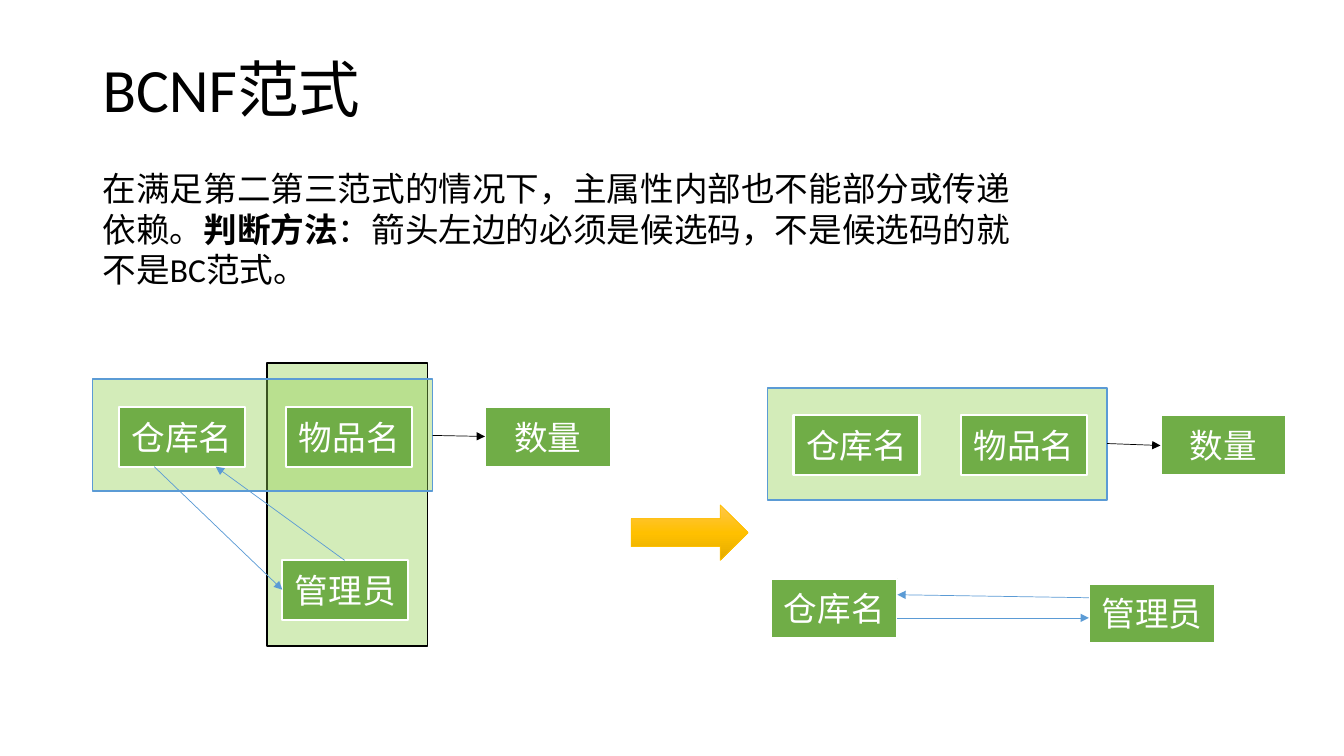
from copy import deepcopy

from lxml import etree
from pptx import Presentation
from pptx.dml.color import RGBColor
from pptx.enum.shapes import MSO_CONNECTOR, MSO_SHAPE
from pptx.enum.text import MSO_ANCHOR, PP_ALIGN
from pptx.oxml.ns import qn
from pptx.util import Inches, Pt

RECT = MSO_SHAPE.RECTANGLE
ARROW = MSO_SHAPE.RIGHT_ARROW
LINE = MSO_CONNECTOR.STRAIGHT
MID, TOP = MSO_ANCHOR.MIDDLE, MSO_ANCHOR.TOP
LEFT, CENTER = PP_ALIGN.LEFT, PP_ALIGN.CENTER
COLORS = {
    "black": "000000", "white": "FFFFFF", "blue": "5B9BD5",
    "green": "70AD47", "lime": "92D050",
    "pale": "FFC64B", "gold": "FFC000", "dark": "E3AB00",
}
FONT = "Calibri"
NODE = (1.25, 0.59)
KEY = (3.37, 1.11)


class Board:
    """Draws styled elements on the slide or in its current group."""

    def __init__(self, slide):
        self.slide = slide
        self.shapes = slide.shapes

    def color(self, name):
        return RGBColor.from_string(COLORS[name])

    def group(self):
        self.shapes = self.slide.shapes.add_group_shape().shapes

    def leave(self):
        self.shapes = self.slide.shapes

    def letter(self, frame, runs, size, color, anchor, align, spacing=None):
        frame.word_wrap = True
        frame.vertical_anchor = anchor
        para = frame.paragraphs[0]
        para.alignment = align
        para.line_spacing = spacing
        for text, bold in runs:
            run = para.add_run()
            run.text = text
            font = run.font
            font.name, font.size, font.bold = FONT, Pt(size), bold
            font.color.rgb = self.color(color)

    def text(self, x, y, w, h, runs, size, anchor=TOP, spacing=None):
        box = self.shapes.add_textbox(*map(Inches, (x, y, w, h)))
        self.letter(box.text_frame, runs, size, "black", anchor, LEFT, spacing)

    def shape(self, kind, x, y, w, h, line, width):
        item = self.shapes.add_shape(kind, *map(Inches, (x, y, w, h)))
        item.shadow.inherit = False
        item.line.color.rgb = self.color(line)
        item.line.width = Pt(width)
        return item

    def node(self, x, y, label):
        item = self.shape(RECT, x, y, *NODE, "white", 1.5)
        item.fill.solid()
        item.fill.fore_color.rgb = self.color("green")
        self.letter(item.text_frame, [(label, False)], 24, "white", MID, CENTER)

    def key(self, x, y, w, h, line):
        item = self.shape(RECT, x, y, w, h, line, 1)
        item.fill.solid()
        item.fill.fore_color.rgb = self.color("lime")
        tint = item._element.spPr.find(qn("a:solidFill"))[0]
        etree.SubElement(tint, qn("a:alpha")).set("val", "40000")

    def link(self, start, end, color="blue"):
        item = self.shapes.add_connector(LINE, *map(Inches, start + end))
        item.line.color.rgb = self.color(color)
        item.line.width = Pt(0.5)
        props = item._element.spPr
        tail = etree.SubElement(props.find(qn("a:ln")), qn("a:tailEnd"))
        tail.set("type", "triangle")
        etree.SubElement(props, qn("a:effectLst"))

    def arrow(self, x, y, w, h, names):
        item = self.shape(ARROW, x, y, w, h, "gold", 0.5)
        fill = item.fill
        fill.gradient()
        fill.gradient_angle = 270
        stops = item._element.spPr.find(".//" + qn("a:gsLst"))
        stops.append(deepcopy(stops[0]))
        for num, (stop, name) in enumerate(zip(fill.gradient_stops, names)):
            stop.position = num / (len(names) - 1)
            stop.color.rgb = self.color(name)


def main():
    deck = Presentation()
    deck.slide_width, deck.slide_height = Inches(13.33), Inches(7.5)
    board = Board(deck.slides.add_slide(deck.slide_layouts[6]))

    board.text(0.92, 0.5, 2.97, 0.84, [("BCNF范式", False)], 44, MID, 0.9)
    board.text(0.92, 1.62, 9.36, 1.31, [
        ("在满足第二第三范式的情况下，主属性内部也不能部分或传递依赖。", False),
        ("判断方法", True),
        ("：箭头左边的必须是候选码，不是候选码的就不是BC范式。", False),
    ], 24)

    board.group()
    board.key(2.65, 3.6, 1.59, 2.81, "black")
    board.key(0.92, 3.76, *KEY, "blue")
    for x, y, label in [(1.18, 4.04, "仓库名"), (2.8, 5.56, "管理员"),
                        (2.84, 4.04, "物品名"), (4.81, 4.04, "数量")]:
        board.node(x, y, label)
    board.link((4.29, 4.32), (4.81, 4.33), "black")
    board.link((1.53, 4.63), (2.8, 5.85))
    board.link((3.42, 5.56), (2.14, 4.63))

    board.group()
    board.key(7.61, 3.85, *KEY, "blue")
    for x, y, label in [(7.87, 4.12, "仓库名"), (10.8, 5.79, "管理员"),
                        (9.53, 4.12, "物品名"), (11.51, 4.12, "数量"),
                        (7.65, 5.74, "仓库名")]:
        board.node(x, y, label)
    board.link((10.98, 4.4), (11.51, 4.42), "black")
    board.link((8.9, 6.13), (10.8, 6.13))
    board.link((10.8, 5.93), (8.9, 5.9))

    board.leave()
    board.arrow(6.26, 5.01, 1.16, 0.55, ["pale", "gold", "dark"])
    deck.save("out.pptx")


if __name__ == "__main__":
    main()
